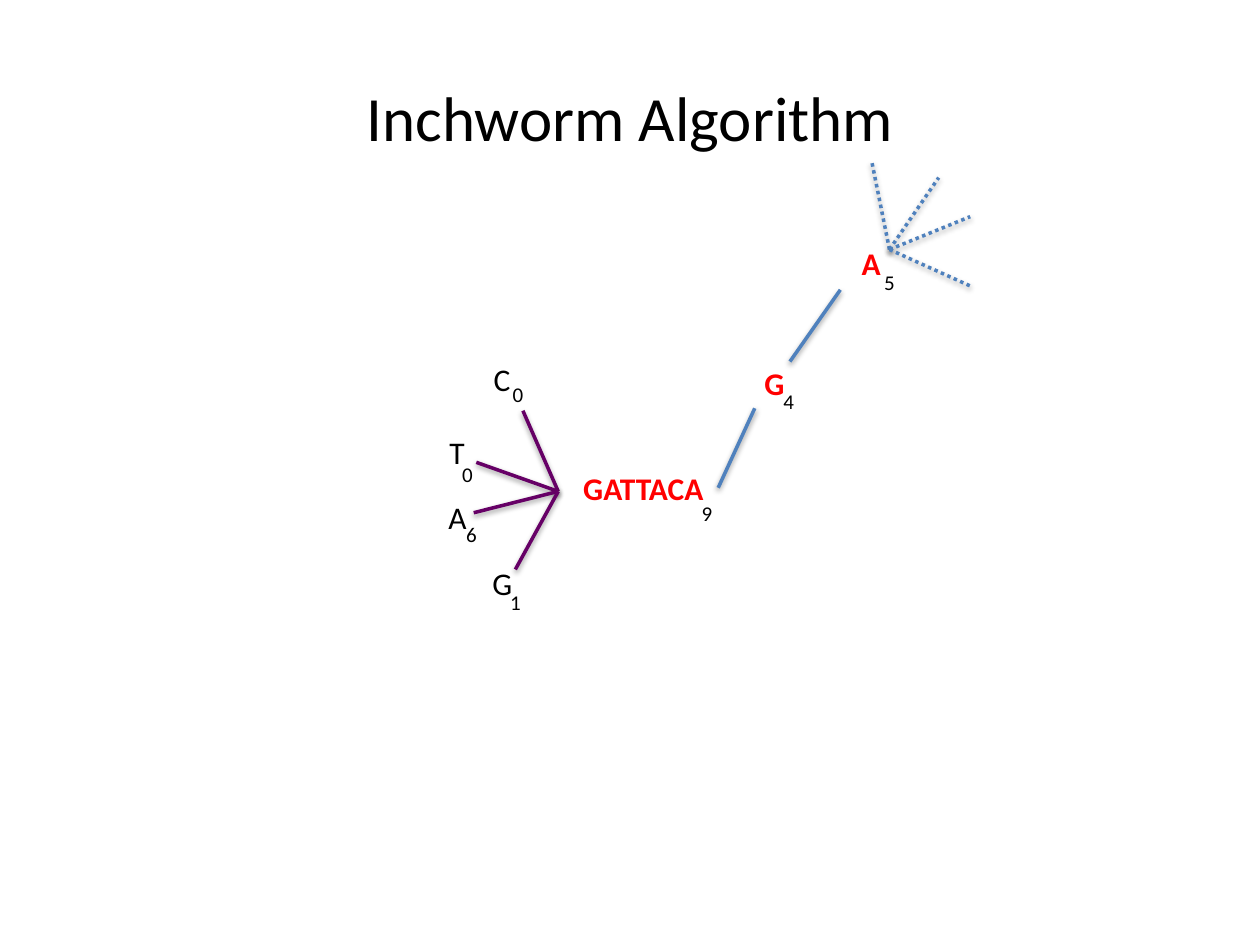
import pptx
import pptx.util
import pptx.dml.color
import pptx.enum.dml
import pptx.enum.shapes
import pptx.enum.text
import pptx.oxml
import pptx.oxml.ns

Pt = pptx.util.Pt
FONT = "Calibri"
COLORS = {"chosen": "FF0000", "plain": "000000", "path": "4F81BD", "fan": "660066"}
TITLE = "Inchworm Algorithm"

# fields: letters, left, top, width, count, count left, count top, colour
NODES = [
    ("GATTACA", 326.2, 264.2, 84.2, "9", 393.8, 282.2, "chosen"),
    ("G", 429.8, 204.5, 25.9, "4", 440.6, 218.2, "chosen"),
    ("A", 485.3, 136.1, 25.9, "5", 498.2, 150.5, "chosen"),
    ("G", 274.3, 319, 25.9, "1", 284.4, 333.4, "plain"),
    ("A", 249.1, 280.8, 25.2, "6", 259.2, 294.5, "plain"),
    ("T", 249.8, 244.1, 28.8, "0", 257, 259.9, "plain"),
    ("C", 275, 202.3, 24.5, "0", 285.8, 214.6, "plain"),
]
PATH = [((410.4, 278.6), (431.3, 233.3)), ((451.4, 206.6), (480.2, 165.6))]
FANS = [
    ((508.3, 142.6), [(498.2, 92.5), (536.4, 101.5), (554.4, 123.8), (554.4, 163.4)], "path", True),
    ((319, 280.8), [(298.8, 234.7), (272.2, 264.2), (270.7, 293), (294.5, 325.4)], "fan", False),
]
SHADOW = (
    '<a:effectLst %s><a:outerShdw blurRad="40000" dist="20000" dir="5400000" rotWithShape="0">'
    '<a:srgbClr val="000000"><a:alpha val="38000"/></a:srgbClr></a:outerShdw></a:effectLst>'
    % pptx.oxml.ns.nsdecls("a")
)


def color(name):
    return pptx.dml.color.RGBColor.from_string(COLORS[name])


def style_font(para, size, name, bold=False):
    para.font.name = FONT
    para.font.size = Pt(size)
    para.font.bold = bold
    para.font.color.rgb = color(name)


def add_label(page, text, left, top, width, height, size, name):
    box = page.shapes.add_textbox(Pt(left), Pt(top), Pt(width), Pt(height))
    frame = box.text_frame
    frame.word_wrap = False
    frame.auto_size = pptx.enum.text.MSO_AUTO_SIZE.SHAPE_TO_FIT_TEXT
    frame.text = text
    style_font(frame.paragraphs[0], size, name, name == "chosen")
    return box


def add_line(shapes, start, end, name, dotted=False):
    line = shapes.add_connector(
        pptx.enum.shapes.MSO_CONNECTOR.STRAIGHT, *[Pt(value) for value in start + end])
    line.line.color.rgb = color(name)
    line.line.width = Pt(2)
    if dotted:
        line.line.dash_style = pptx.enum.dml.MSO_LINE.ROUND_DOT
    line._element.spPr.append(pptx.oxml.parse_xml(SHADOW))
    return line


def main():
    deck = pptx.Presentation()
    deck.slide_width, deck.slide_height = Pt(720), Pt(540)
    page = deck.slides.add_slide(deck.slide_layouts[5])

    title = page.shapes.title
    title.left, title.top, title.width, title.height = Pt(36), Pt(21.6), Pt(648), Pt(90)
    title.text_frame.text = TITLE
    title.text_frame.vertical_anchor = pptx.enum.text.MSO_ANCHOR.MIDDLE
    heading = title.text_frame.paragraphs[0]
    heading.alignment = pptx.enum.text.PP_ALIGN.CENTER
    style_font(heading, 36, "plain")

    boxes = []
    for letters, left, top, width, count, count_left, count_top, name in NODES:
        boxes.append(add_label(page, letters, left, top, width, 29.1, 18, name))
        add_label(page, count, count_left, count_top, 20.9, 21.8, 12, "plain")

    path_lines = [add_line(page.shapes, start, end, "path") for start, end in PATH]
    path_lines[0].begin_connect(boxes[0], 3)

    for hub, tips, name, dotted in FANS:
        group = page.shapes.add_group_shape()
        for tip in tips:
            add_line(group.shapes, hub, tip, name, dotted)

    deck.save("out.pptx")


if __name__ == "__main__":
    main()
